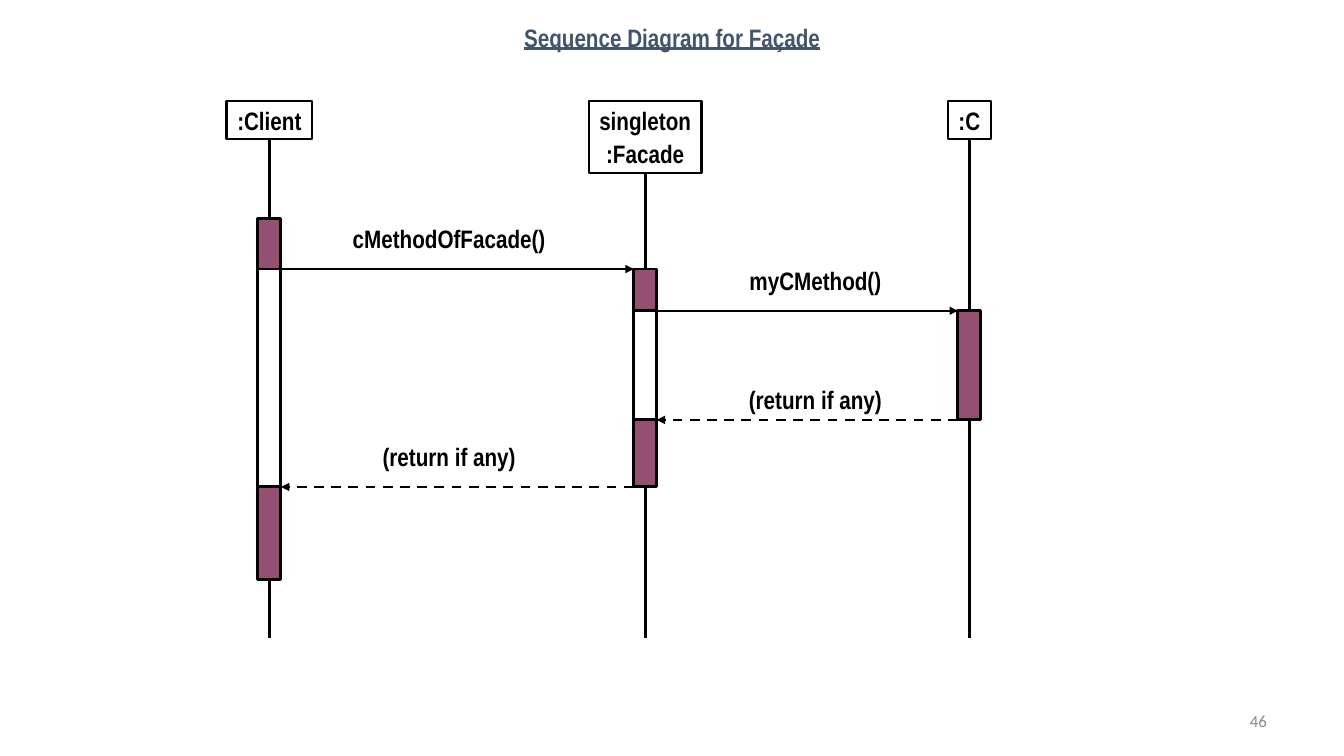
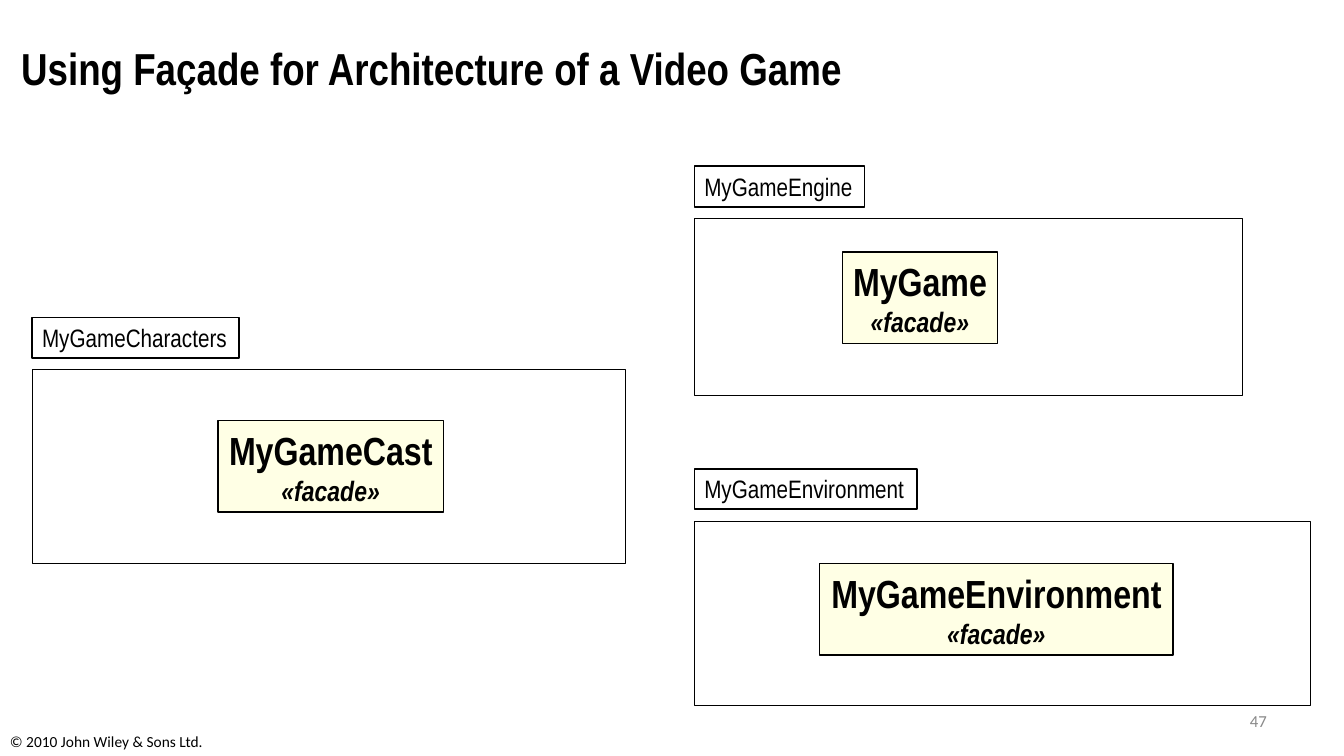
from pptx import Presentation
from pptx.dml.color import RGBColor
from pptx.enum.dml import MSO_LINE
from pptx.enum.shapes import MSO_CONNECTOR, MSO_SHAPE
from pptx.enum.text import MSO_ANCHOR as ANCHOR, MSO_AUTO_SIZE, PP_ALIGN as ALIGN
from pptx.oxml.ns import qn
from pptx.util import Cm, Pt
from lxml import etree

COLORS = {
    "ink": "000000",
    "paper": "FFFFFF",
    "heading": "44546A",
    "active": "954F72",
    "facade": "FFFFE5",
    "number": "898989",
}
NARROW, PLAIN = "Arial Narrow", "Calibri"
BAR_WIDTH = 0.58
LIFELINE_END = 16.08
TAB_HEIGHT, TAB_RISE, FACADE_HEIGHT = 1.02, 1.32, 2.31


def color(name):
    return RGBColor.from_string(COLORS[name])


# Text
def style(para, size, name="ink", face=NARROW, bold=False, italic=False,
          align=ALIGN.LEFT):
    para.alignment = align
    font = para.font
    font.name, font.size, font.bold, font.italic = face, Pt(size), bold, italic
    font.color.rgb = color(name)


def write(shape, lines, anchor=ANCHOR.MIDDLE, wrap=False, **look):
    """Fill a shape with one paragraph per line, all in the same style."""
    frame = shape.text_frame
    frame.word_wrap = wrap
    frame.auto_size = MSO_AUTO_SIZE.NONE
    frame.vertical_anchor = anchor
    frame.text = "\n".join(lines)
    for para in frame.paragraphs:
        style(para, **look)
    return frame.paragraphs


def add_label(slide, left, top, width, height, text, **look):
    box = slide.shapes.add_textbox(Cm(left), Cm(top), Cm(width), Cm(height))
    write(box, [text], **look)


def set_title(slide, text, left, top, width, height, **look):
    title = slide.shapes.title
    title.left, title.top = Cm(left), Cm(top)
    title.width, title.height = Cm(width), Cm(height)
    return write(title, [text], wrap=True, bold=True, **look)[0]


def add_page_number(slide, number):
    add_label(slide, 24.28, 17.65, 7.9, 1.02, str(number), wrap=True,
              size=12, name="number", face=PLAIN, align=ALIGN.RIGHT)


# Boxes and lines
def add_box(slide, left, top, width, height, line_width, fill=None):
    box = slide.shapes.add_shape(MSO_SHAPE.RECTANGLE, Cm(left), Cm(top),
                                 Cm(width), Cm(height))
    box.shadow.inherit = False
    if fill:
        box.fill.solid()
        box.fill.fore_color.rgb = color(fill)
    else:
        box.fill.background()
    box.line.color.rgb = color("ink")
    box.line.width = Pt(line_width)
    return box


def add_line(slide, x1, y1, x2, y2, width, arrow=False, dashed=False):
    line = slide.shapes.add_connector(MSO_CONNECTOR.STRAIGHT,
                                      Cm(x1), Cm(y1), Cm(x2), Cm(y2))
    line.line.color.rgb = color("ink")
    line.line.width = Pt(width)
    if dashed:
        line.line.dash_style = MSO_LINE.DASH
    if arrow:
        etree.SubElement(line.line._get_or_add_ln(), qn("a:tailEnd"),
                         type="triangle")
    etree.SubElement(line._element.spPr, qn("a:effectLst"))
    return line


# Sequence diagram parts
def add_participant(slide, center, lines, width, height):
    """Header box with the lifeline that hangs from it."""
    header = add_box(slide, center - width / 2, 2.54, width, height, 1.5, "paper")
    paras = write(header, lines, size=18, bold=True, align=ALIGN.CENTER)
    for para in paras[1:]:
        para.space_before = Pt(2)
    lifeline = add_line(slide, center, 2.54 + height, center, LIFELINE_END, 2.25)
    lifeline.begin_connect(header, 2)


def add_activation(slide, center, start, end, fill):
    add_box(slide, center - BAR_WIDTH / 2, start, BAR_WIDTH, end - start, 2, fill)


def add_message(slide, sender, receiver, y, text, text_center, text_top, reply):
    side = BAR_WIDTH / 2 if receiver > sender else -BAR_WIDTH / 2
    add_line(slide, sender + side, y, receiver - side, y, 1.75,
             arrow=True, dashed=reply)
    add_label(slide, text_center - 2.7, text_top, 5.4, 1.02, text,
              anchor=ANCHOR.TOP, size=18, bold=True, align=ALIGN.CENTER)


def build_sequence(slide):
    title = set_title(slide, "Sequence Diagram for Façade", 1.42, 0.2, 31.04, 1.47,
                      size=18, name="heading", align=ALIGN.CENTER)
    title.font.underline = True

    client, facade, component = 6.79, 16.26, 24.43
    call, inner_call, inner_reply, reply = 6.78, 7.83, 10.58, 12.27

    for participant in [
        (client, [":Client"], 2.16, 0.97),
        (facade, ["singleton", ":Facade"], 2.84, 1.83),
        (component, [":C"], 1.07, 0.97),
    ]:
        add_participant(slide, *participant)

    # A white bar marks the time spent waiting for a reply
    for bar in [
        (client, 5.51, 14.6, "active"),
        (client, call, reply, "paper"),
        (facade, call, reply, "active"),
        (facade, inner_call, inner_reply, "paper"),
        (component, inner_call, inner_reply, "active"),
    ]:
        add_activation(slide, *bar)

    for message in [
        (client, facade, call, "cMethodOfFacade()", 11.32, 5.51, False),
        (facade, component, inner_call, "myCMethod()", 20.55, 6.55, False),
        (component, facade, inner_reply, "(return if any)", 20.55, 9.55, True),
        (facade, client, reply, "(return if any)", 11.32, 11, True),
    ]:
        add_message(slide, *message)


# Package diagram parts
def add_package(slide, name, tab_width, left, top, width, height, facade):
    """Name tab above a frame that holds one facade class."""
    tab = add_box(slide, left, top - TAB_RISE, tab_width, TAB_HEIGHT, 1.25)
    write(tab, [name], size=18)
    add_box(slide, left, top, width, height, 0.75)

    class_name, class_left, class_top, class_width = facade
    box = add_box(slide, class_left, class_top, class_width, FACADE_HEIGHT,
                  1.25, "facade")
    paras = write(box, [class_name, "«facade»"], size=28, bold=True,
                  align=ALIGN.CENTER)
    style(paras[1], 20, bold=True, italic=True, align=ALIGN.CENTER)


def build_packages(slide):
    title = set_title(slide, "Using Façade for Architecture of a Video Game",
                      0.28, 0.84, 33.02, 1.9, size=32)
    title.line_spacing = 0.9

    for package in [
        ("MyGameCharacters", 5.21, 0.81, 9.32, 14.96, 4.88,
         ("MyGameCast", 5.49, 10.6, 5.69)),
        ("MyGameEngine", 4.29, 17.5, 5.51, 13.82, 4.45,
         ("MyGame", 21.23, 6.35, 3.91)),
        ("MyGameEnvironment", 5.61, 17.5, 13.13, 15.52, 4.65,
         ("MyGameEnvironment", 20.65, 14.2, 8.92)),
    ]:
        add_package(slide, *package)

    add_label(slide, 0, 18.31, 13.49, 0.74, "© 2010 John Wiley & Sons Ltd.",
              wrap=True, size=11, face=PLAIN)


def main():
    deck = Presentation()
    deck.slide_width, deck.slide_height = Cm(33.87), Cm(19.05)
    title_only = deck.slide_layouts[5]
    for number, build in enumerate([build_sequence, build_packages], start=46):
        slide = deck.slides.add_slide(title_only)
        build(slide)
        add_page_number(slide, number)
    deck.save("out.pptx")


if __name__ == "__main__":
    main()
